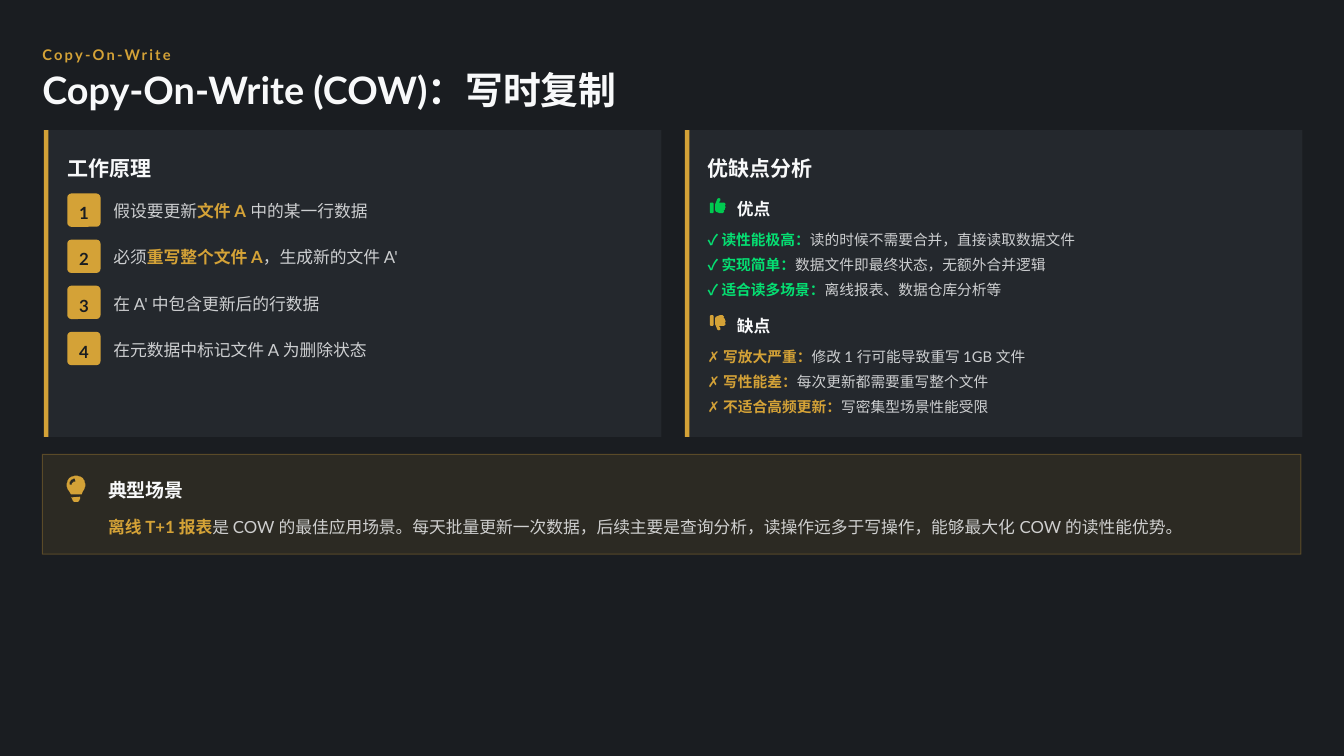
import math
from lxml import etree
from pptx import Presentation
from pptx.dml.color import RGBColor
from pptx.enum import shapes, text
from pptx.oxml.ns import qn
from pptx.util import Inches, Pt

# Colours
DARK = RGBColor(0x1A, 0x1D, 0x21)
GOLD = RGBColor(0xD4, 0xA2, 0x37)
WHITE = RGBColor(0xF8, 0xF9, 0xFA)
PANEL = RGBColor(0x34, 0x3A, 0x40)
GREEN = RGBColor(0x00, 0xC9, 0x50)
MINT = RGBColor(0x05, 0xDF, 0x72)
FONT = "Lato"

# Content: *marked* parts are emphasised
KICKER = "Copy-On-Write"
TITLE = "Copy-On-Write (COW)：写时复制"
PANELS = [(0.58, 0.89, "工作原理"), (9.06, 9.36, "优缺点分析")]
STEPS = [
    "假设要更新*文件 A* 中的某一行数据",
    "必须*重写整个文件 A*，生成新的文件 A'",
    "在 A' 中包含更新后的行数据",
    "在元数据中标记文件 A 为删除状态",
]
GROUPS = [
    dict(top=2.56, head="优点", icon=GREEN, accent=MINT, flip=False, points=[
        "*✓ 读性能极高：*读的时候不需要合并，直接读取数据文件",
        "*✓ 实现简单：*数据文件即最终状态，无额外合并逻辑",
        "*✓ 适合读多场景：*离线报表、数据仓库分析等",
    ]),
    dict(top=4.11, head="缺点", icon=GOLD, accent=GOLD, flip=True, points=[
        "*✗ 写放大严重：*修改 1 行可能导致重写 1GB 文件",
        "*✗ 写性能差：*每次更新都需要重写整个文件",
        "*✗ 不适合高频更新：*写密集型场景性能受限",
    ]),
]
SCENE_HEAD = "典型场景"
SCENE = ("*离线 T+1 报表*是 COW 的最佳应用场景。每天批量更新一次数据，后续主要是查询分析，"
         "读操作远多于写操作，能够最大化 COW 的读性能优势。")

# Icon outlines, in hundredths of an inch
THUMB = [
    [(0, 8), (1, 7), (4, 7), (5, 8), (5, 20), (4, 21), (1, 21), (0, 20)],
    [(12, 1), (14, 2), (14, 4), (12, 7), (19, 7), (21, 9), (20, 11), (21, 13),
     (20, 15), (20, 16), (18, 18), (19, 19), (17, 21), (13, 21), (8, 19),
     (7, 17), (7, 9), (8, 7), (10, 2)],
]


def arc(cx, cy, radius, start, end, steps=16):
    angles = [math.radians(start + (end - start) * i / steps) for i in range(steps + 1)]
    return [(cx + radius * math.cos(a), cy + radius * math.sin(a)) for a in angles]


BULB = [
    arc(12.5, 12.5, 12.3, 40, -220, 32) + [(5.5, 25), (19.5, 25)],
    [(18.5, 28)] + arc(12.5, 29, 6, 0, 180),
    arc(11.5, 12, 8, 180, 270) + arc(11.5, 12, 4.5, 270, 180),
]


def set_alpha(color_parent, percent):
    clr = color_parent.find(".//" + qn("a:srgbClr"))
    etree.SubElement(clr, qn("a:alpha")).set("val", str(percent * 1000))


def paint(sp, color, alpha=None):
    sp.shadow.inherit = False
    sp.fill.solid()
    sp.fill.fore_color.rgb = color
    if alpha:
        set_alpha(sp._element.spPr.find(qn("a:solidFill")), alpha)
    sp.line.fill.background()
    return sp


def add_block(s, kind, left, top, width, height, color, alpha=None):
    sp = s.shapes.add_shape(kind, *map(Inches, (left, top, width, height)))
    return paint(sp, color, alpha)


def add_icon(s, outlines, left, top, color):
    builder = None
    for outline in outlines:
        if builder is None:
            builder = s.shapes.build_freeform(*outline[0], scale=Inches(0.01))
        else:
            builder.move_to(*outline[0])
        builder.add_line_segments(outline[1:], close=True)
    return paint(builder.convert_to_shape(Inches(left), Inches(top)), color)


def write(tf, content, size=16, color=WHITE, accent=GOLD, bold=False, alpha=None,
          line=1.2, align=None, spacing=None):
    tf.word_wrap = True
    tf.vertical_anchor = text.MSO_ANCHOR.MIDDLE
    tf.margin_left = tf.margin_right = tf.margin_top = tf.margin_bottom = 0
    p = tf.paragraphs[0]
    p.line_spacing = line
    p.alignment = align
    for i, part in enumerate(content.split("*")):
        if not part:
            continue
        marked = i % 2 == 1
        r = p.add_run()
        r.text = part
        r.font.name, r.font.size = FONT, Pt(size)
        r.font.bold = bold or marked
        r.font.color.rgb = accent if marked else color
        if alpha and not marked:
            set_alpha(r._r.rPr, alpha)
        if spacing:
            r._r.rPr.set("spc", str(spacing))


def add_text(s, content, left, top, width, height, **fmt):
    box = s.shapes.add_textbox(*map(Inches, (left, top, width, height)))
    write(box.text_frame, content, **fmt)


def main():
    prs = Presentation()
    prs.slide_width, prs.slide_height = Inches(17.78), Inches(10)
    s = prs.slides.add_slide(prs.slide_layouts[6])
    s.background.fill.solid()
    s.background.fill.fore_color.rgb = DARK
    rect = shapes.MSO_SHAPE.RECTANGLE

    # Heading
    add_text(s, KICKER, 0.56, 0.56, 16.76, 0.28, size=14, color=GOLD, bold=True, spacing=210)
    add_text(s, TITLE, 0.56, 0.94, 16.92, 0.56, size=36, bold=True, line=0.9)

    # Panels with a gold edge
    for left, text_left, head in PANELS:
        add_block(s, rect, left, 1.72, 8.17, 4.06, PANEL, alpha=40)
        add_block(s, rect, left, 1.72, 0.06, 4.06, GOLD)
        add_text(s, head, text_left, 2, 7.72, 0.39, size=20, bold=True)

    # Numbered steps
    for i, step in enumerate(STEPS):
        top = 2.56 + 0.61 * i
        badge = add_block(s, shapes.MSO_SHAPE.ROUNDED_RECTANGLE, 0.89, top, 0.44, 0.44, GOLD)
        badge.adjustments[0] = 0.12
        write(badge.text_frame, str(i + 1), color=DARK, bold=True, line=1.3,
              align=text.PP_ALIGN.CENTER)
        add_text(s, step, 1.5, top, 7.08, 0.36, alpha=80, line=1.4)

    # Pros and cons
    for group in GROUPS:
        top = group["top"]
        outlines = THUMB
        if group["flip"]:
            outlines = [[(x, 22 - y) for x, y in outline] for outline in THUMB]
        add_icon(s, outlines, 9.39, top + 0.05, group["icon"])
        add_text(s, group["head"], 9.75, top, 0.56, 0.33, bold=True, line=1.3)
        for i, point in enumerate(group["points"]):
            add_text(s, point, 9.36, top + 0.44 + i / 3, 7.68, 0.28, size=14,
                     accent=group["accent"], alpha=80)

    # Typical scenario
    band = add_block(s, rect, 0.56, 6.01, 16.65, 1.32, GOLD, alpha=10)
    band.line.color.rgb = GOLD
    band.line.width = Pt(1)
    set_alpha(band.line._ln, 30)
    add_icon(s, BULB, 0.88, 6.29, GOLD)
    add_text(s, SCENE_HEAD, 1.43, 6.24, 15.68, 0.39, size=18, bold=True, line=1.3)
    add_text(s, SCENE, 1.43, 6.74, 15.67, 0.36, alpha=80, line=1.4)

    prs.save("out.pptx")


if __name__ == "__main__":
    main()
